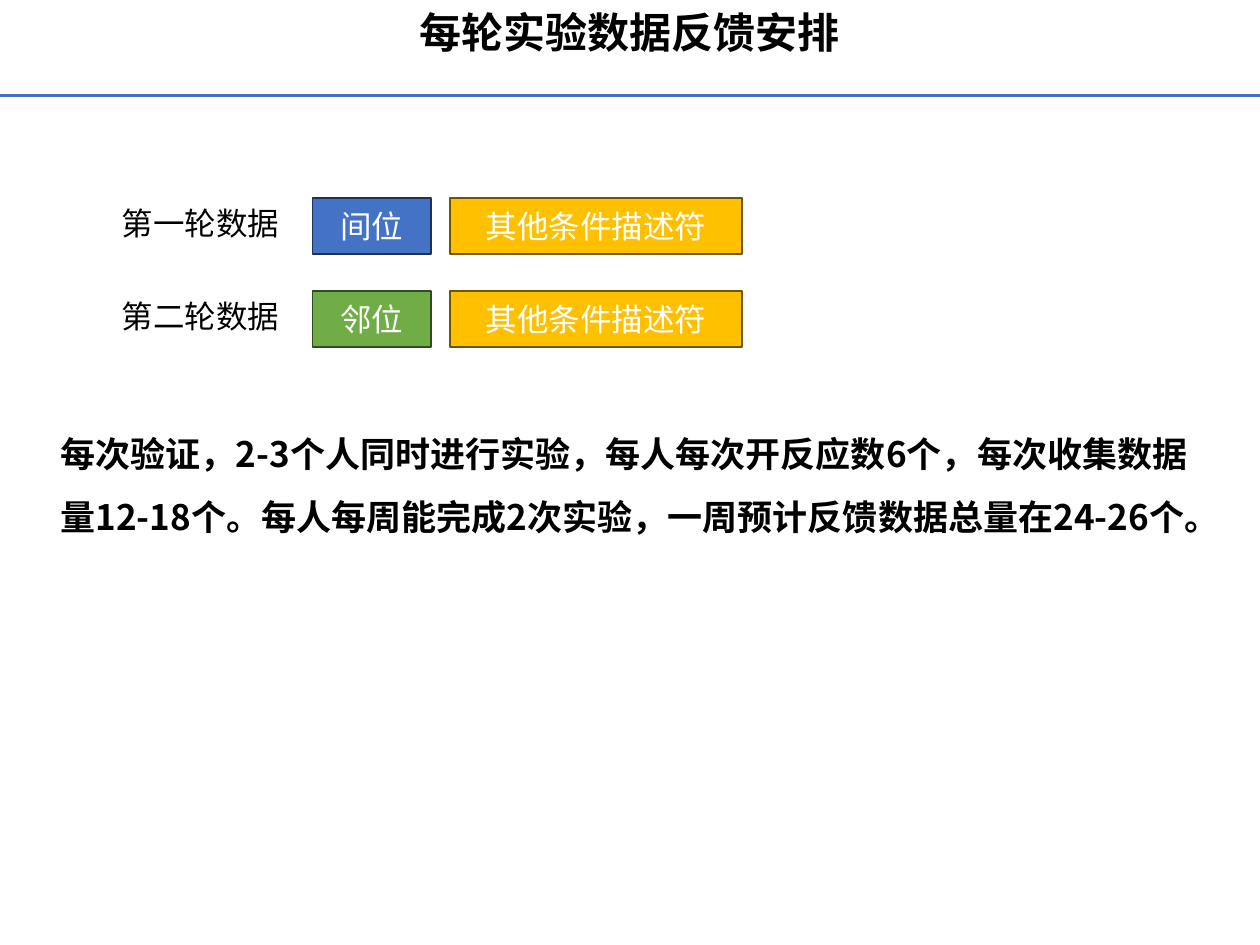
import dataclasses

import pptx
import pptx.dml.color
import pptx.enum.shapes
import pptx.enum.text
import pptx.oxml.ns
import pptx.util
from lxml import etree

Pt = pptx.util.Pt
ANCHOR = pptx.enum.text.MSO_ANCHOR
ALIGN = pptx.enum.text.PP_ALIGN


@dataclasses.dataclass(frozen=True)
class Theme:
    """Colours, fonts and type sizes of the slide."""
    black: str = "000000"
    white: str = "FFFFFF"
    blue: tuple = ("4472C4", "1E3256")
    green: tuple = ("70AD47", "314C1F")
    gold: tuple = ("FFC000", "705400")
    heading_font: str = "Noto Sans CJK SC"
    label_font: str = "Calibri"
    east_asian_font: str = "Noto Sans CJK SC"
    title_size: int = 24
    body_size: int = 20
    label_size: int = 18


THEME = Theme()


def rgb(value):
    """Turn a hex string into a colour."""
    return pptx.dml.color.RGBColor.from_string(value)


def write(sp, text, size, font, color, bold=False, align=ALIGN.LEFT,
          anchor=ANCHOR.TOP, wrap=True):
    """Put one formatted run into a shape."""
    tf = sp.text_frame
    tf.word_wrap = wrap
    tf.auto_size = pptx.enum.text.MSO_AUTO_SIZE.NONE
    tf.vertical_anchor = anchor
    p = tf.paragraphs[0]
    p.alignment = align
    r = p.add_run()
    r.text = text
    r.font.size = Pt(size)
    r.font.name = font
    r.font.bold = bold
    r.font.color.rgb = rgb(color)
    ea = etree.SubElement(r.font._element, pptx.oxml.ns.qn("a:ea"))
    ea.set("typeface", THEME.east_asian_font)
    return p


def add_title(s, text, width):
    """Fill the title placeholder across the top edge."""
    sp = s.shapes.title
    sp.left, sp.top, sp.width, sp.height = Pt(0), Pt(0), Pt(width), Pt(36)
    write(sp, text, THEME.title_size, THEME.heading_font, THEME.black,
          bold=True, align=ALIGN.CENTER, anchor=ANCHOR.MIDDLE)


def add_rule(s, y, width):
    """Draw the horizontal line below the title."""
    line = s.shapes.add_connector(pptx.enum.shapes.MSO_CONNECTOR.STRAIGHT,
                                  Pt(0), Pt(y), Pt(width), Pt(y))
    line.line.color.rgb = rgb(THEME.blue[0])
    line.line.width = Pt(1.5)
    etree.SubElement(line._element.spPr, pptx.oxml.ns.qn("a:effectLst"))


def add_label(s, text, x, y, w, h):
    """Add the plain name of a data round."""
    sp = s.shapes.add_textbox(Pt(x), Pt(y), Pt(w), Pt(h))
    write(sp, text, THEME.label_size, THEME.label_font, THEME.black, wrap=False)


def add_box(s, text, colors, x, y, w, h):
    """Add a filled rectangle with centred white text."""
    sp = s.shapes.add_shape(pptx.enum.shapes.MSO_SHAPE.RECTANGLE,
                            Pt(x), Pt(y), Pt(w), Pt(h))
    sp.shadow.inherit = False
    sp.fill.solid()
    sp.fill.fore_color.rgb = rgb(colors[0])
    sp.line.color.rgb = rgb(colors[1])
    sp.line.width = Pt(1)
    write(sp, text, THEME.label_size, THEME.label_font, THEME.white,
          align=ALIGN.CENTER, anchor=ANCHOR.MIDDLE)


def add_paragraph(s, text, x, y, w, h):
    """Add the bold explanation with wide line spacing."""
    sp = s.shapes.add_textbox(Pt(x), Pt(y), Pt(w), Pt(h))
    p = write(sp, text, THEME.body_size, THEME.heading_font, THEME.black, bold=True)
    p.line_spacing = 1.5


def main():
    """Build the slide and save it."""
    prs = pptx.Presentation()
    prs.slide_width, prs.slide_height = Pt(720), Pt(540)
    s = prs.slides.add_slide(prs.slide_layouts[5])
    add_title(s, "每轮实验数据反馈安排", 720)
    add_rule(s, 54.7, 720)
    add_paragraph(s, "每次验证，2-3个人同时进行实验，每人每次开反应数6个，"
                  "每次收集数据量12-18个。每人每周能完成2次实验，"
                  "一周预计反馈数据总量在24-26个。", 27.4, 231.8, 665.2, 75.6)
    rounds = [("第一轮数据", "间位", THEME.blue, 113.2),
              ("第二轮数据", "邻位", THEME.green, 166.4)]
    for name, position, colors, y in rounds:
        add_label(s, name, 62.6, y, 105.2, 29)
        add_box(s, position, colors, 178.6, y, 67.6, 32)
        add_box(s, "其他条件描述符", THEME.gold, 257, y, 167, 32)
    prs.save("out.pptx")


if __name__ == "__main__":
    main()
